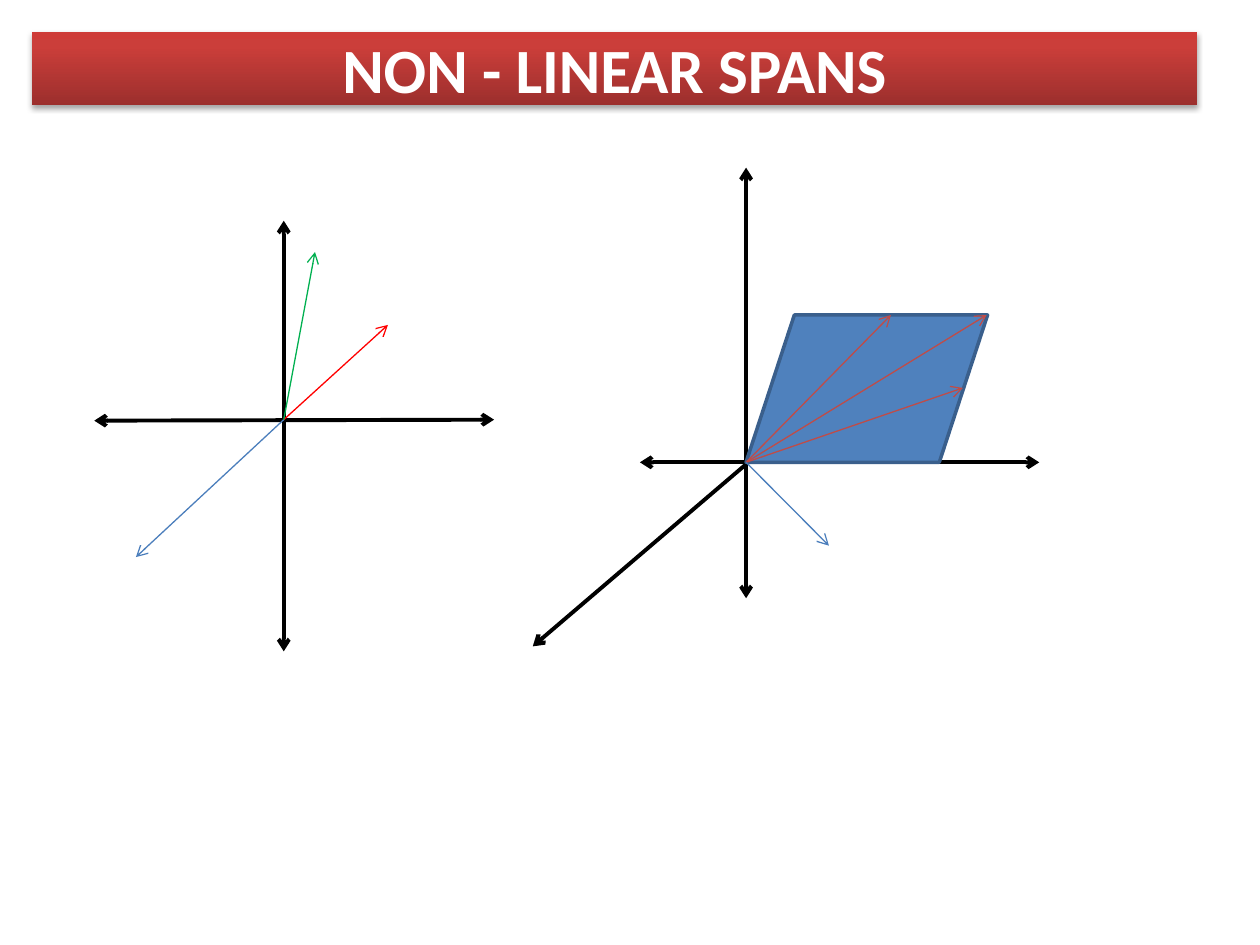
from dataclasses import dataclass

import pptx
import pptx.dml.color
import pptx.enum.shapes
import pptx.enum.text
import pptx.oxml
import pptx.oxml.ns
import pptx.util
from lxml import etree

Cm, Pt = pptx.util.Cm, pptx.util.Pt
RGB = pptx.dml.color.RGBColor
SHAPE = pptx.enum.shapes.MSO_SHAPE
qn = pptx.oxml.ns.qn

BLACK = RGB(0x00, 0x00, 0x00)
WHITE = RGB(0xFF, 0xFF, 0xFF)
RED = RGB(0xFF, 0x00, 0x00)
BRICK = RGB(0xBF, 0x4C, 0x48)
BLUE = RGB(0x4B, 0x7E, 0xBC)
GREEN = RGB(0x00, 0xB0, 0x50)
PLANE = RGB(0x4F, 0x81, 0xBD)
EDGE = RGB(0x3A, 0x5F, 0x8C)
STOPS = ((0, "9C2F2D"), (80, "CB3E3A"), (100, "CE3B37"))

Point = tuple[float, float]  # centimetres


@dataclass
class Axis:
    start: Point
    end: Point


@dataclass
class Ray:
    tip: Point
    color: RGB


LEFT = (5.72, 8.46)
LEFT_AXES = [
    Axis((5.72, 13.13), (5.72, 4.45)),
    Axis((1.9, 8.48), (9.96, 8.46)),
]
LEFT_RAYS = [
    Ray((7.82, 6.55), RED),
    Ray((2.74, 11.23), BLUE),
    Ray((6.35, 5.08), GREEN),
]

RIGHT = (15.04, 9.32)
RIGHT_AXES = [
    Axis((15.04, 12.06), (15.04, 3.38)),
    Axis((12.9, 9.32), (20.95, 9.32)),
    Axis((10.74, 13.03), (16.69, 7.95)),
]
RIGHT_RAYS = [
    Ray((17.96, 6.35), BRICK),
    Ray((19.41, 7.82), BRICK),
    Ray((19.89, 6.35), BRICK),
    Ray((16.71, 11), BLUE),
]


def draw_line(shapes, start: Point, end: Point, color: RGB, width: float,
              ends: tuple[str, ...]) -> None:
    """Draw a line with an open arrowhead at each of the named ends."""
    kind = pptx.enum.shapes.MSO_CONNECTOR.STRAIGHT
    line = shapes.add_connector(kind, *map(Cm, start + end))
    line.line.color.rgb = color
    line.line.width = Pt(width)
    for name in ends:
        etree.SubElement(line.line._get_or_add_ln(), qn(f"a:{name}"), type="arrow")
    etree.SubElement(line._element.spPr, qn("a:effectLst"))


def draw_axes(shapes, axes: list[Axis]) -> None:
    for axis in axes:
        draw_line(shapes, axis.start, axis.end, BLACK, 2.25, ("headEnd", "tailEnd"))


def draw_rays(shapes, origin: Point, rays: list[Ray]) -> None:
    for ray in rays:
        draw_line(shapes, origin, ray.tip, ray.color, 0.75, ("tailEnd",))


def draw_title(shapes, text: str) -> None:
    bar = shapes.add_shape(SHAPE.RECTANGLE, Cm(0.64), Cm(0.64), Cm(23.5), Cm(1.48))
    bar.line.fill.background()
    bar.shadow.inherit = False
    space = pptx.oxml.ns.nsdecls("a")
    stops = "".join(f'<a:gs pos="{pos * 1000}"><a:srgbClr val="{tone}"/></a:gs>'
                    for pos, tone in STOPS)
    props = bar._element.spPr
    props.find(qn("a:prstGeom")).addnext(pptx.oxml.parse_xml(
        f'<a:gradFill {space} rotWithShape="1"><a:gsLst>{stops}</a:gsLst>'
        '<a:lin ang="16200000" scaled="0"/></a:gradFill>'))
    props.find(qn("a:effectLst")).append(pptx.oxml.parse_xml(
        f'<a:outerShdw {space} blurRad="40000" dist="23000" dir="5400000" '
        'rotWithShape="0"><a:srgbClr val="000000"><a:alpha val="35000"/>'
        '</a:srgbClr></a:outerShdw>'))
    frame = bar.text_frame
    frame.vertical_anchor = pptx.enum.text.MSO_ANCHOR.MIDDLE
    para = frame.paragraphs[0]
    para.text = text
    para.alignment = pptx.enum.text.PP_ALIGN.CENTER
    font = para.font
    font.name, font.size, font.bold = "Calibri", Pt(36), True
    font.color.rgb = WHITE


def draw_plane(shapes) -> None:
    plane = shapes.add_shape(SHAPE.FLOWCHART_DATA, Cm(15.04), Cm(6.35),
                             Cm(4.87), Cm(2.97))
    plane.shadow.inherit = False
    plane.fill.solid()
    plane.fill.fore_color.rgb = PLANE
    plane.line.color.rgb = EDGE
    plane.line.width = Pt(2)


def main() -> None:
    deck = pptx.Presentation()
    deck.slide_width, deck.slide_height = Cm(25.4), Cm(19.05)
    shapes = deck.slides.add_slide(deck.slide_layouts[6]).shapes
    draw_title(shapes, "NON - LINEAR SPANS")
    draw_axes(shapes, LEFT_AXES)
    draw_rays(shapes, LEFT, LEFT_RAYS)
    draw_axes(shapes, RIGHT_AXES)
    draw_plane(shapes)
    draw_rays(shapes, RIGHT, RIGHT_RAYS)
    deck.save("out.pptx")


if __name__ == "__main__":
    main()
